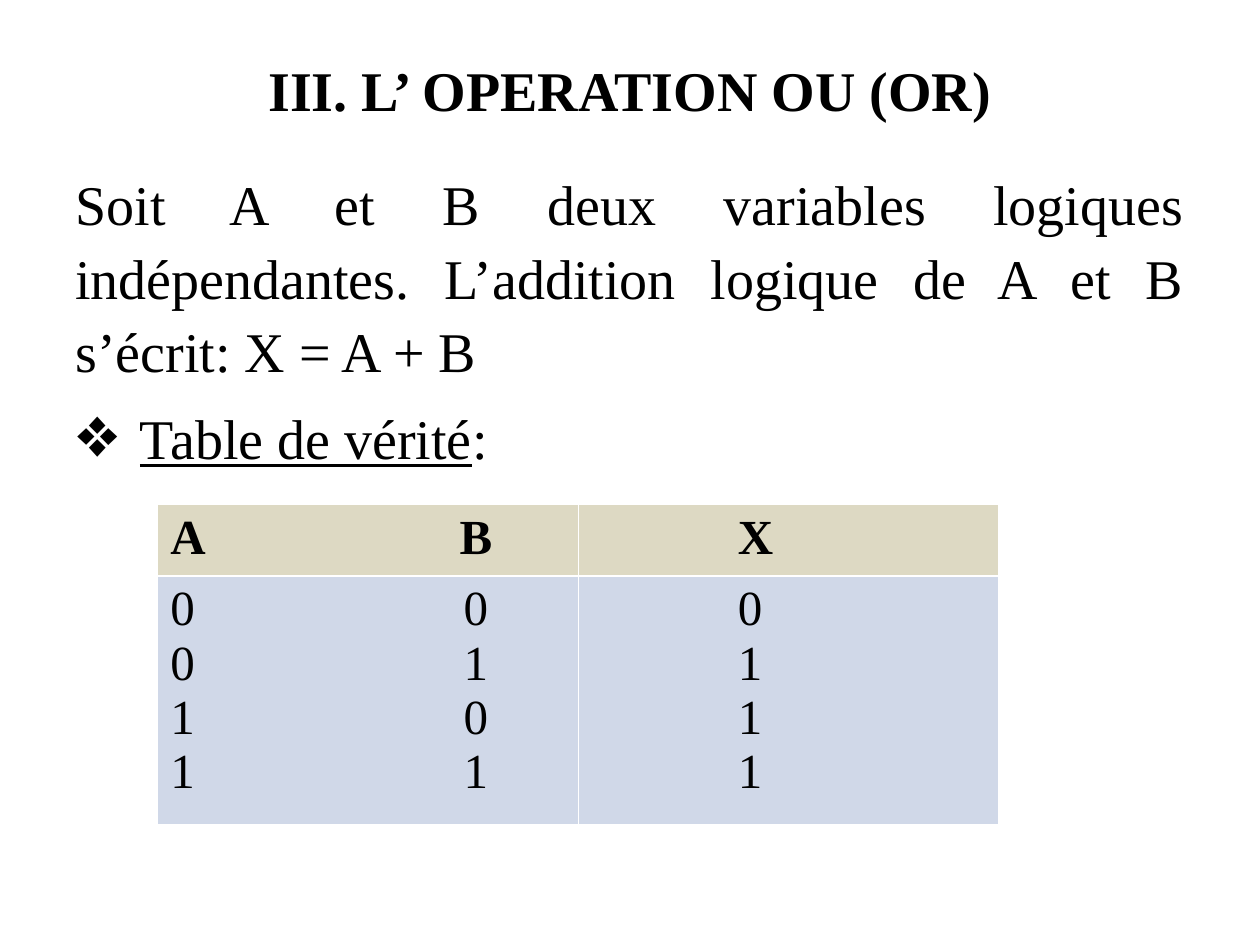
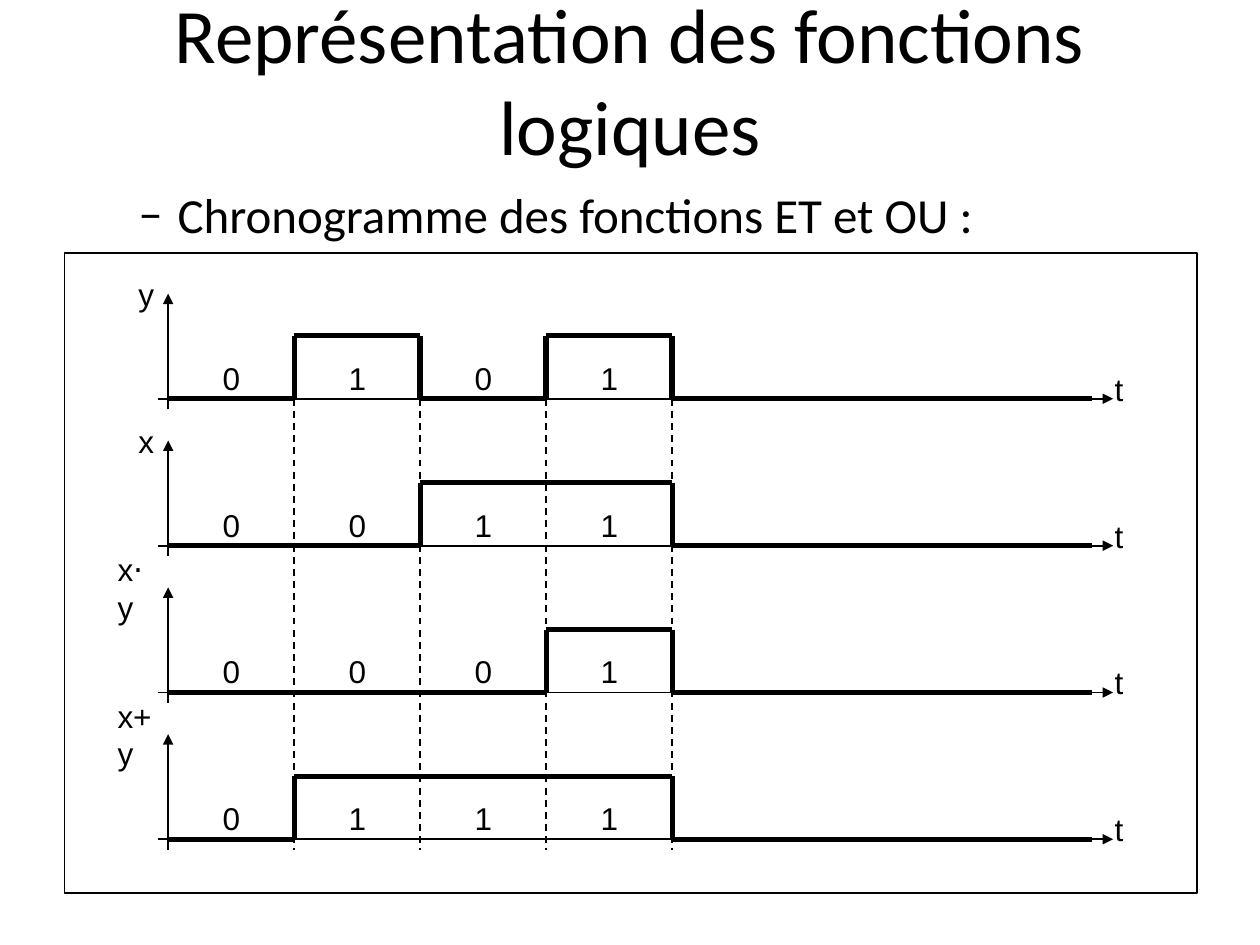
import itertools
from dataclasses import dataclass
from typing import Optional

import pptx
import pptx.dml.color
import pptx.enum.dml
import pptx.enum.shapes
import pptx.enum.text
import pptx.oxml.ns
import pptx.util
from lxml import etree

Cm = pptx.util.Cm
Pt = pptx.util.Pt
Align = pptx.enum.text.PP_ALIGN
Anchor = pptx.enum.text.MSO_ANCHOR


@dataclass(frozen=True)
class Theme:
    ink: str = "000000"
    paper: str = "FFFFFF"
    header_fill: str = "DDD9C3"
    body_fill: str = "D0D8E8"
    serif: str = "Times New Roman"
    sans: str = "Calibri"
    label_font: str = "Arial"
    large_title: int = 44
    lesson: int = 32
    detail: int = 28
    label: int = 18
    thin: float = 1
    thick: float = 3


@dataclass(frozen=True)
class Box:
    """Position and size in centimetres."""
    left: float
    top: float
    width: float
    height: float

    def emu(self) -> tuple:
        return Cm(self.left), Cm(self.top), Cm(self.width), Cm(self.height)


@dataclass(frozen=True)
class Bullet:
    mark: str
    margin: float
    hanging: float


@dataclass(frozen=True)
class Signal:
    name: str
    levels: tuple
    label_left: float


THEME = Theme()

# Time axis grid, in centimetres
ORIGIN_X, STEP = 3.39, 2.54
FIRST_BASE, PITCH = 8.04, 2.96
HIGH = 1.27
AXIS_END, WAVE_END = 22.44, 22.01
OVERHANG = 0.21
LABEL_SIZE = 0.85


# Shared helpers
def rgb(color: str) -> pptx.dml.color.RGBColor:
    return pptx.dml.color.RGBColor.from_string(color)


def child(parent, tag: str, **attributes: str):
    element = etree.SubElement(parent, pptx.oxml.ns.qn(tag))
    for key, value in attributes.items():
        element.set(key, value)
    return element


def write_text(frame, text: str, *, size: int, font: str, bold: bool = False,
               align=Align.LEFT, before: float = 0, spacing: Optional[float] = None,
               bullet: Optional[Bullet] = None, margin: float = 0,
               center_tab: Optional[float] = None) -> None:
    """Write one paragraph; parts between underscores are underlined."""
    first = frame.paragraphs[0]
    paragraph = frame.add_paragraph() if first.runs else first
    properties = paragraph._p.get_or_add_pPr()
    if bullet:
        margin = bullet.margin
        properties.set("indent", str(-Cm(bullet.hanging)))
        child(child(properties, "a:buClr"), "a:srgbClr", val=THEME.ink)
        child(properties, "a:buFont", typeface=font)
        child(properties, "a:buChar", char=bullet.mark)
    if margin:
        properties.set("marL", str(Cm(margin)))
    if center_tab:
        child(child(properties, "a:tabLst"), "a:tab", pos=str(Cm(center_tab)), algn="ctr")
    paragraph.alignment = align
    if before:
        paragraph.space_before = Pt(before)
    if spacing:
        paragraph.line_spacing = spacing
    for index, part in enumerate(text.split("_")):
        if part:
            run = paragraph.add_run()
            run.text = part
            run.font.size, run.font.name, run.font.bold = Pt(size), font, bold
            run.font.underline = index % 2 == 1
            run.font.color.rgb = rgb(THEME.ink)


def add_frame(slide, box: Box, anchor=Anchor.TOP, wrap: bool = True):
    frame = slide.shapes.add_textbox(*box.emu()).text_frame
    frame.word_wrap = wrap
    frame.vertical_anchor = anchor
    return frame


def add_title(slide, text: str, top: float, **style) -> None:
    frame = add_frame(slide, Box(1.27, top, 22.86, 3.18), Anchor.MIDDLE)
    write_text(frame, text, align=Align.CENTER, **style)


def add_label(slide, text: str, left: float, top: float, width: float = LABEL_SIZE) -> None:
    frame = add_frame(slide, Box(left, top, width, LABEL_SIZE), Anchor.MIDDLE, wrap=False)
    write_text(frame, text, size=THEME.label, font=THEME.label_font)


def add_line(slide, x1: float, y1: float, x2: float, y2: float, *,
             width: float = THEME.thin, dashed: bool = False, arrow: bool = False) -> None:
    line = slide.shapes.add_connector(
        pptx.enum.shapes.MSO_CONNECTOR.STRAIGHT, Cm(x1), Cm(y1), Cm(x2), Cm(y2))
    line.line.color.rgb = rgb(THEME.ink)
    line.line.width = Pt(width)
    if dashed:
        line.line.dash_style = pptx.enum.dml.MSO_LINE.DASH
    if arrow:
        child(line.line._get_or_add_ln(), "a:tailEnd", type="triangle")
    child(line._element.spPr, "a:effectLst")


# Truth table
def style_cell(cell, fill: str, is_header: bool) -> None:
    properties = cell._tc.get_or_add_tcPr()
    thick_side = "B" if is_header else "T"
    for side in "LRTB":
        width = Pt(1.47 if side == thick_side else 0.45)
        border = child(properties, f"a:ln{side}", w=str(width))
        child(child(border, "a:solidFill"), "a:srgbClr", val=THEME.paper)
    cell.fill.solid()
    cell.fill.fore_color.rgb = rgb(fill)


def add_truth_table(slide) -> None:
    table = slide.shapes.add_table(2, 2, *Box(3.18, 10.16, 16.94, 6.45).emu()).table
    for column in table.columns:
        column.width = Cm(8.47)
    for row, height in zip(table.rows, (1.45, 5.0)):
        row.height = Cm(height)
    cases = [(a, b, a | b) for a, b in itertools.product((0, 1), repeat=2)]
    sections = ((THEME.header_fill, [("A", "B", "X")]), (THEME.body_fill, cases))
    for row, (fill, lines) in enumerate(sections):
        is_header = row == 0
        inputs, output = table.cell(row, 0), table.cell(row, 1)
        for cell in (inputs, output):
            style_cell(cell, fill, is_header)
        style = dict(size=THEME.detail, font=THEME.serif, bold=is_header)
        for a, b, x in lines:
            write_text(inputs.text_frame, f"{a}\t{b}", center_tab=6.16, **style)
            write_text(output.text_frame, str(x), margin=2.97, **style)


def build_or_operation(slide) -> None:
    lesson = dict(size=THEME.lesson, font=THEME.serif)
    # The title number is followed by one en space
    add_title(slide, "III. L’ OPERATION OU (OR)", 0.2, bold=True, **lesson)
    body = add_frame(slide, Box(1.27, 3.18, 22.86, 13.84))
    write_text(body, "Soit A et B deux variables logiques indépendantes. "
                     "L’addition logique de A et B s’écrit: X = A + B",
               align=Align.JUSTIFY, spacing=1.09, **lesson)
    write_text(body, "_Table de vérité_:", before=8, spacing=1.09,
               bullet=Bullet("❖", 1.3, 1.3), **lesson)
    add_truth_table(slide)


# Timing diagram
def add_axes(slide, signal: Signal, base: float) -> None:
    add_line(slide, ORIGIN_X, base + OVERHANG, ORIGIN_X, base - 2.12, arrow=True)
    add_line(slide, ORIGIN_X - OVERHANG, base, AXIS_END, base, arrow=True)
    add_label(slide, "t", 22.22, base - 0.63)
    add_label(slide, signal.name, signal.label_left, base - 2.54,
              ORIGIN_X - signal.label_left)


def add_wave(slide, signal: Signal, base: float) -> None:
    for index, level in enumerate(signal.levels):
        add_label(slide, str(level), ORIGIN_X + index * STEP + LABEL_SIZE, base - LABEL_SIZE)
    x, previous = ORIGIN_X, None
    for level, run in itertools.groupby(signal.levels):
        end, y = x + len(list(run)) * STEP, base - level * HIGH
        if previous is not None:
            add_line(slide, x, base - HIGH, x, base, width=THEME.thick)
        add_line(slide, x, y, end, y, width=THEME.thick)
        x, previous = end, level
    # Every signal falls back to zero after its last step
    add_line(slide, x, base - HIGH, x, base, width=THEME.thick)
    add_line(slide, x, base, WAVE_END, base, width=THEME.thick)


def build_timing_diagram(slide) -> None:
    add_title(slide, "Représentation des fonctions logiques", 0,
              size=THEME.large_title, font=THEME.sans)
    subtitle = add_frame(slide, Box(1.27, 3.6, 22.86, 1.48))
    write_text(subtitle, "Chronogramme des fonctions ET et OU :",
               size=THEME.detail, font=THEME.sans, bullet=Bullet("–", 2.06, 0.79))

    y, x = (0, 1, 0, 1), (0, 0, 1, 1)
    signals = (
        Signal("y", y, 2.54),
        Signal("x", x, 2.54),
        Signal("x⋅y", tuple(a & b for a, b in zip(x, y)), 2.12),
        Signal("x+y", tuple(a | b for a, b in zip(x, y)), 2.12),
    )
    bases = [FIRST_BASE + index * PITCH for index in range(len(signals))]
    for signal, base in zip(signals, bases):
        add_axes(slide, signal, base)
    for step in range(1, len(y) + 1):
        guide = ORIGIN_X + step * STEP
        add_line(slide, guide, bases[0], guide, bases[-1] + OVERHANG, dashed=True)

    border = slide.shapes.add_shape(
        pptx.enum.shapes.MSO_SHAPE.RECTANGLE, *Box(1.3, 5.1, 22.83, 12.9).emu())
    border.shadow.inherit = False
    border.fill.background()
    border.line.color.rgb = rgb(THEME.ink)
    border.line.width = Pt(THEME.thin)

    for signal, base in zip(signals, bases):
        add_wave(slide, signal, base)


def main() -> None:
    deck = pptx.Presentation()
    deck.slide_width, deck.slide_height = Cm(25.4), Cm(19.05)
    blank = deck.slide_layouts[6]
    for build in (build_or_operation, build_timing_diagram):
        slide = deck.slides.add_slide(blank)
        slide.background.fill.solid()
        slide.background.fill.fore_color.rgb = rgb(THEME.paper)
        build(slide)
    deck.save("out.pptx")


if __name__ == "__main__":
    main()
